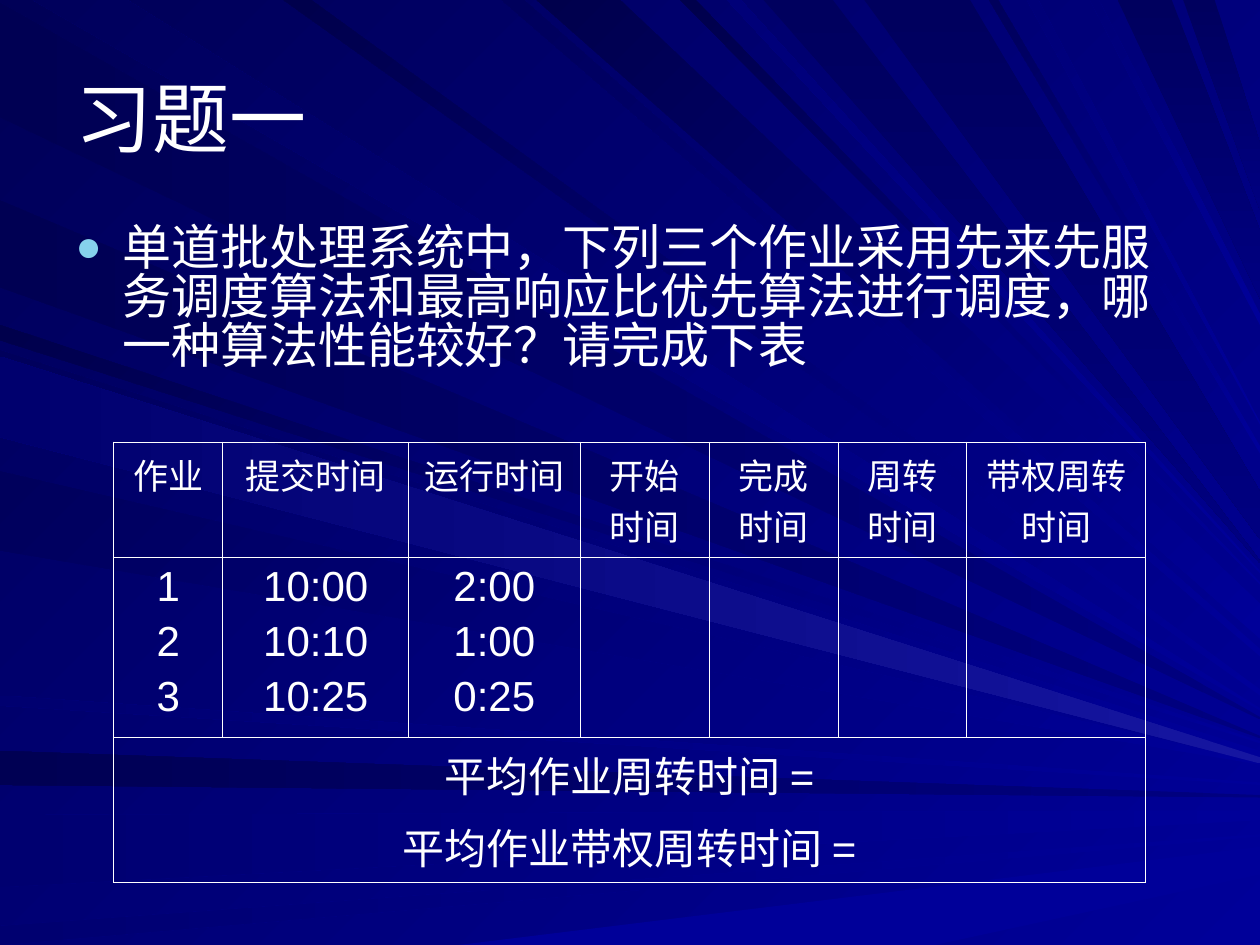
from dataclasses import dataclass
from enum import Enum

from lxml.etree import SubElement
from pptx import Presentation
from pptx.dml.color import RGBColor
from pptx.enum.text import MSO_ANCHOR as Anchor, PP_ALIGN as Align
from pptx.oxml import parse_xml
from pptx.oxml.ns import nsdecls, qn
from pptx.util import Cm, Pt


@dataclass(frozen=True)
class Tone:
    """A two-colour gradient; angle is counter-clockwise."""
    start: str
    end: str
    angle: int


@dataclass(frozen=True)
class Theme:
    font: str = "Arial"
    text: str = "FFFFFF"
    bullet: str = "86D1EC"
    title_size: float = 44
    body_size: float = 28
    header_size: float = 20
    cell_size: float = 24
    frame_width: float = 1.08
    grid_width: float = 0.45
    backdrop: Tone = Tone("000099", "000057", 135)
    slant: Tone = Tone("000099", "00005C", 135)
    deep_slant: Tone = Tone("000099", "00004C", 135)
    soft_slant: Tone = Tone("000099", "000078", 135)
    flat: Tone = Tone("000080", "000053", 180)
    soft_flat: Tone = Tone("000099", "000070", 180)
    glow: Tone = Tone("1616A1", "00006E", 180)
    fall: Tone = Tone("00005E", "000080", 270)
    plain: Tone = Tone("000099", "000099", 180)


class Edge(Enum):
    LEFT = "left"
    TOP = "top"
    BOTTOM = "bottom"


@dataclass(frozen=True)
class Ray:
    """A beam from one page edge to the right edge, in hundredths of an inch.

    upper and lower place its two sides on the starting edge; tip and
    thickness place its end on the right edge.
    """
    edge: Edge
    upper: int
    lower: int
    tip: int
    tone: Tone
    thickness: int = 2


@dataclass(frozen=True)
class TableRow:
    height: float
    size: float
    space_before: float
    cells: list[list[str]]


THEME = Theme()
RAY_UNIT = Cm(0.0254)
PAGE_RIGHT, PAGE_BOTTOM = 1000, 750

RAYS = [
    Ray(Edge.LEFT, 2, 93, 569, THEME.flat),
    Ray(Edge.TOP, 101, 26, 562, THEME.slant),
    Ray(Edge.LEFT, 596, 623, 631, THEME.flat),
    Ray(Edge.LEFT, 647, 704, 643, THEME.soft_flat, 8),
    Ray(Edge.LEFT, 735, 750, 662, THEME.soft_flat),
    Ray(Edge.BOTTOM, 364, 742, 672, THEME.plain, 22),
    Ray(Edge.LEFT, 258, 270, 588, THEME.deep_slant),
    Ray(Edge.LEFT, 159, 228, 584, THEME.flat),
    Ray(Edge.TOP, 416, 398, 515, THEME.slant, 6),
    Ray(Edge.TOP, 492, 426, 479, THEME.deep_slant, 28),
    Ray(Edge.TOP, 552, 540, 462, THEME.deep_slant),
    Ray(Edge.TOP, 661, 606, 445, THEME.fall),
    Ray(Edge.TOP, 930, 887, 183, THEME.fall, 54),
    Ray(Edge.TOP, 964, 939, 114, THEME.fall, 53),
    Ray(Edge.LEFT, 278, 342, 596, THEME.slant, 6),
    Ray(Edge.LEFT, 374, 437, 605, THEME.slant),
    Ray(Edge.LEFT, 552, 560, 621, THEME.soft_flat),
    Ray(Edge.TOP, 247, 225, 547, THEME.deep_slant, 5),
    Ray(Edge.TOP, 588, 577, 453, THEME.soft_slant),
    Ray(Edge.TOP, 770, 686, 390, THEME.fall, 38),
    Ray(Edge.TOP, 792, 785, 354, THEME.slant, 6),
    Ray(Edge.TOP, 824, 815, 335, THEME.soft_slant),
    Ray(Edge.TOP, 872, 865, 249, THEME.soft_slant, 9),
    Ray(Edge.LEFT, 283, 347, 601, THEME.glow, 5),
]

COLUMN_WIDTHS = [2.2, 3.75, 3.45, *[2.6] * 3, 3.6]
TABLE_ROWS = [
    TableRow(2.31, THEME.header_size, 0, [
        ["作业"], ["提交时间"], ["运行时间"], ["开始时间"],
        ["完成时间"], ["周转时间"], ["带权周转时间"]]),
    TableRow(3.51, THEME.cell_size, 4.8, [
        ["1", "2", "3"], ["10:00", "10:10", "10:25"], ["2:00", "1:00", "0:25"]]),
    TableRow(2.92, THEME.cell_size, 6, [
        ["平均作业周转时间 =", "平均作业带权周转时间 ="]]),
]


def paint(fill, tone: Tone) -> None:
    fill.gradient()
    fill.gradient_angle = tone.angle
    for stop, color in zip(fill.gradient_stops, (tone.start, tone.end)):
        stop.color.rgb = RGBColor.from_string(color)


def edge_point(edge: Edge, position: int) -> tuple[int, int]:
    if edge is Edge.LEFT:
        return 0, position
    return position, 0 if edge is Edge.TOP else PAGE_BOTTOM


def draw_ray(page, ray: Ray) -> None:
    builder = page.shapes.build_freeform(*edge_point(ray.edge, ray.upper), scale=RAY_UNIT)
    builder.add_line_segments([
        (PAGE_RIGHT, ray.tip),
        (PAGE_RIGHT, ray.tip + ray.thickness),
        edge_point(ray.edge, ray.lower),
    ], close=True)
    shape = builder.convert_to_shape()
    shape.shadow.inherit = False
    shape.line.fill.background()
    paint(shape.fill, ray.tone)


def write(frame, lines: list[str], *, size: float, align=Align.LEFT,
          space_before: float = 0, spacing: float = 1.0, bullet: bool = False) -> None:
    for index, line in enumerate(lines):
        para = frame.add_paragraph() if index else frame.paragraphs[0]
        if bullet:
            add_bullet(para)
        para.alignment = align
        para.line_spacing = spacing
        para.space_before = Pt(space_before if index else 0)
        span = para.add_run()
        span.text = line
        span.font.name = THEME.font
        span.font.size = Pt(size)
        span.font.color.rgb = RGBColor.from_string(THEME.text)


def add_bullet(para) -> None:
    properties = para._p.get_or_add_pPr()
    indent = Cm(0.95)
    properties.set("marL", str(indent))
    properties.set("indent", str(-indent))
    color = SubElement(properties, qn("a:buClr"))
    SubElement(color, qn("a:srgbClr"), val=THEME.bullet)
    SubElement(properties, qn("a:buSzPct"), val="90000")
    SubElement(properties, qn("a:buFont"), typeface=THEME.font)
    SubElement(properties, qn("a:buChar"), char="●")


def add_text(page, top: float, height: float, text: str, anchor=Anchor.TOP, **style) -> None:
    """Add a text box that spans the page between its side margins."""
    box = page.shapes.add_textbox(Cm(1.27), Cm(top), Cm(22.86), Cm(height))
    box.text_frame.word_wrap = True
    box.text_frame.vertical_anchor = anchor
    write(box.text_frame, [text], **style)


def set_borders(cell, widths: dict[str, float]) -> None:
    properties = cell._tc.get_or_add_tcPr()
    for index, (side, width) in enumerate(widths.items()):
        properties.insert(index, parse_xml(
            f'<a:ln{side} {nsdecls("a")} w="{Pt(width)}"><a:solidFill>'
            f'<a:srgbClr val="{THEME.text}"/></a:solidFill></a:ln{side}>'))


def add_schedule(page, left: float, top: float) -> None:
    last_row, last_column = len(TABLE_ROWS) - 1, len(COLUMN_WIDTHS) - 1
    table = page.shapes.add_table(
        len(TABLE_ROWS), len(COLUMN_WIDTHS), Cm(left), Cm(top), Cm(sum(COLUMN_WIDTHS)),
        Cm(sum(row.height for row in TABLE_ROWS))).table
    table.first_row = table.horz_banding = False
    for column, width in zip(table.columns, COLUMN_WIDTHS):
        column.width = Cm(width)
    for r, row in enumerate(TABLE_ROWS):
        table.rows[r].height = Cm(row.height)
        for c in range(len(COLUMN_WIDTHS)):
            cell = table.cell(r, c)
            cell.fill.background()
            on_frame = {"L": c == 0 or r == last_row, "R": c == last_column or r == last_row,
                        "T": r == 0, "B": r == last_row}
            set_borders(cell, {side: THEME.frame_width if outer else THEME.grid_width
                               for side, outer in on_frame.items()})
            if c < len(row.cells):
                write(cell.text_frame, row.cells[c], size=row.size, align=Align.CENTER,
                      space_before=row.space_before)
    table.cell(last_row, 0).merge(table.cell(last_row, last_column))


def main() -> None:
    deck = Presentation()
    deck.slide_width, deck.slide_height = Cm(25.4), Cm(19.05)
    page = deck.slides.add_slide(deck.slide_layouts[6])
    paint(page.background.fill, THEME.backdrop)
    for ray in RAYS:
        draw_ray(page, ray)
    add_text(page, 0.76, 3.18, "习题一", Anchor.MIDDLE, size=THEME.title_size)
    add_text(page, 4.45, 3.89,
             "单道批处理系统中，下列三个作业采用先来先服务调度算法和最高响应比优先算法"
             "进行调度，哪一种算法性能较好？请完成下表",
             size=THEME.body_size, spacing=0.83, bullet=True)
    add_schedule(page, 2.29, 8.92)
    deck.save("out.pptx")


if __name__ == "__main__":
    main()
